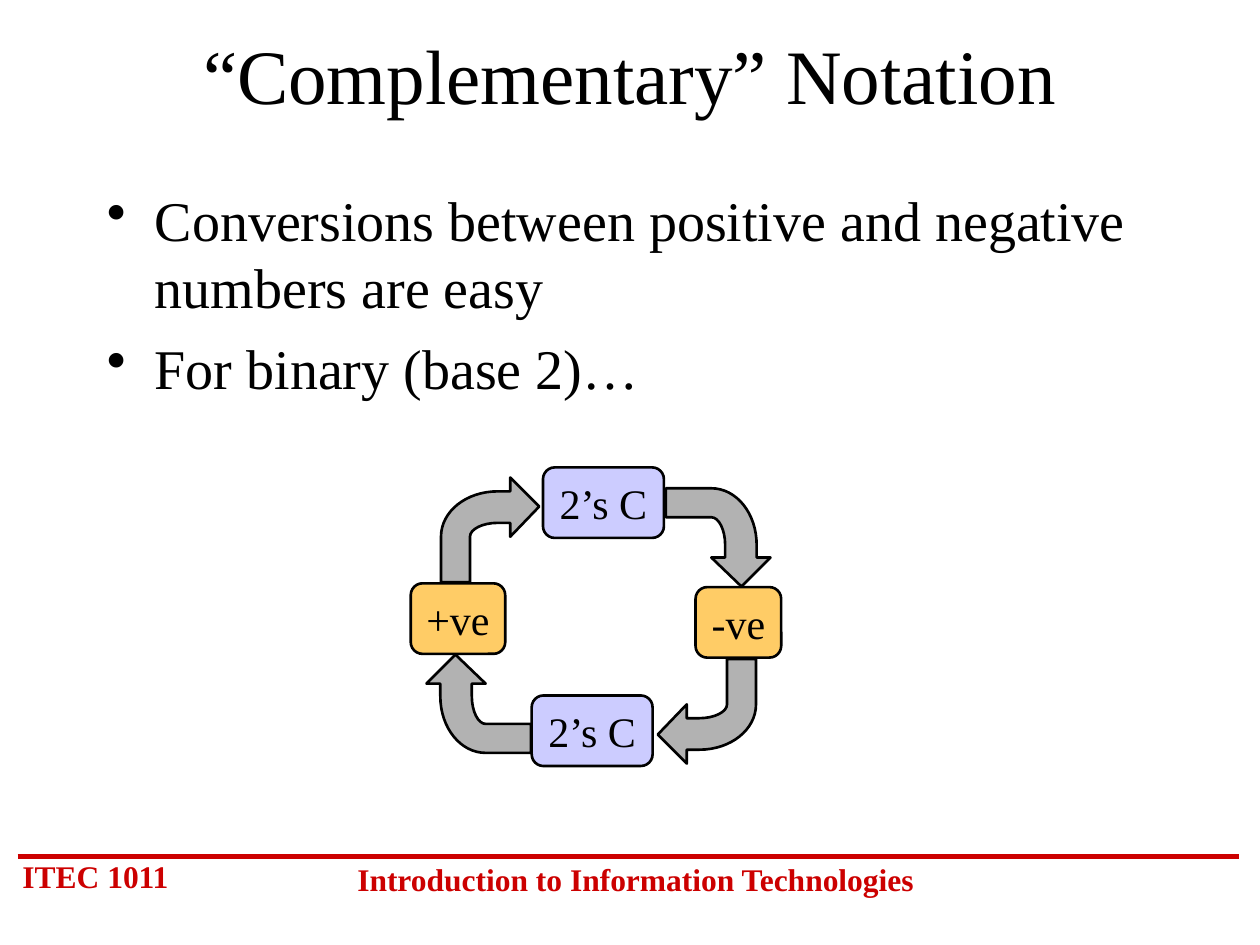
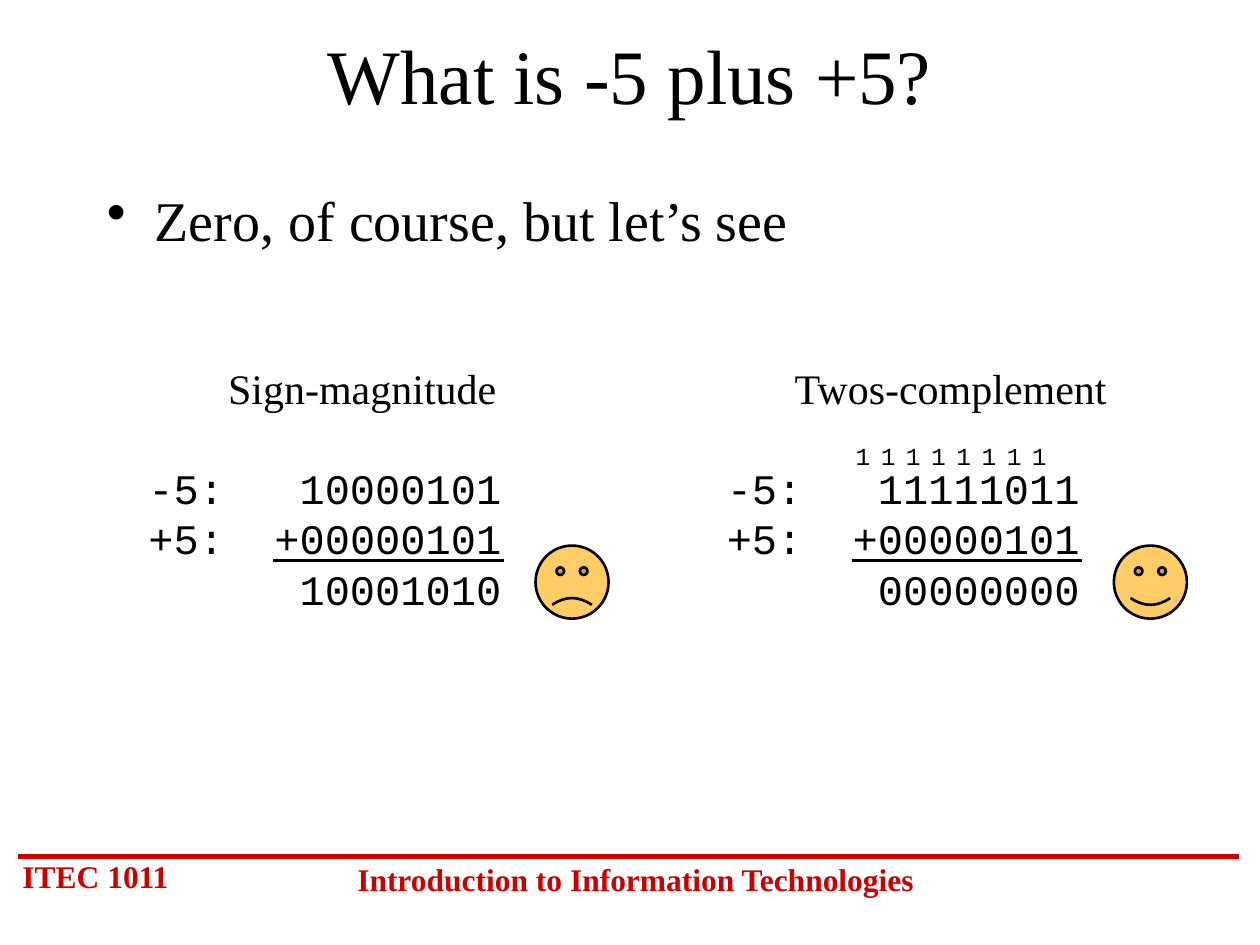
from lxml import etree
from pptx import Presentation
from pptx.dml.color import RGBColor
from pptx.enum.shapes import MSO_CONNECTOR, MSO_SHAPE
from pptx.enum.text import MSO_ANCHOR, PP_ALIGN
from pptx.oxml.ns import qn
from pptx.util import Inches, Pt

LEFT, CENTER = PP_ALIGN.LEFT, PP_ALIGN.CENTER
TOP, MIDDLE = MSO_ANCHOR.TOP, MSO_ANCHOR.MIDDLE
ROUND, SMILE = MSO_SHAPE.ROUNDED_RECTANGLE, MSO_SHAPE.SMILEY_FACE
STRAIGHT = MSO_CONNECTOR.STRAIGHT
SERIF, MONO = "Times New Roman", "Courier New"
COLORS = {"ink": "000000", "red": "CC0000", "gold": "FFCC66",
          "lilac": "CCCCFF", "gray": "B2B2B2"}

# Outline of a bent arrow; each curve takes three points after its start.
ARROW = [(0, 0.83), (0, 0.47), (0, 0.27), (0.2, 0.11), (0.45, 0.11),
         (0.55, 0.11), (0.55, 0), (0.78, 0.23), (0.55, 0.47), (0.55, 0.36),
         (0.45, 0.36), (0.33, 0.36), (0.23, 0.41), (0.23, 0.47), (0.23, 0.83)]
BENDS = (1, 10)


def color(name):
    return RGBColor.from_string(COLORS[name])


def add_bullet(para):
    props = para._p.get_or_add_pPr()
    props.set("marL", str(Inches(0.38)))
    props.set("indent", str(-Inches(0.38)))
    etree.SubElement(props, qn("a:buChar"), char="•")


def add_tab(para, pos):
    """Add a right-aligned tab stop, in inches."""
    tabs = etree.SubElement(para._p.get_or_add_pPr(), qn("a:tabLst"))
    etree.SubElement(tabs, qn("a:tab"), pos=str(Inches(pos)), algn="r")


def add_run(para, text, size, font, ink, bold):
    run = para.add_run()
    run.text = text
    run.font.size = Pt(size)
    run.font.name = font
    run.font.bold = bold
    run.font.color.rgb = color(ink)


def write(shape, *paras, size=24, font=SERIF, ink="ink", bold=False,
          align=LEFT, anchor=TOP, wrap=True, pad=True, bullet=False,
          tab=None, gap=0):
    """Fill a shape with paragraphs; a newline is a line break."""
    frame = shape.text_frame
    frame.word_wrap = wrap
    frame.vertical_anchor = anchor
    frame.margin_left = frame.margin_right = Inches(0.1 if pad else 0)
    frame.margin_top = frame.margin_bottom = Inches(0.05 if pad else 0)
    for i, text in enumerate(paras):
        para = frame.add_paragraph() if i else frame.paragraphs[0]
        if bullet:
            add_bullet(para)
        if tab:
            add_tab(para, tab)
        para.alignment = align
        para.space_before = Pt(gap if i else 0)
        for j, line in enumerate(text.split("\n")):
            if j:
                para.add_line_break()
            add_run(para, line, size, font, ink, bold)


def add_text(slide, box, *paras, **style):
    write(slide.shapes.add_textbox(*map(Inches, box)), *paras, **style)


def add_line(slide, left, right, y, ink="ink", width=1.5):
    line = slide.shapes.add_connector(
        STRAIGHT, Inches(left), Inches(y), Inches(right), Inches(y))
    line.line.color.rgb = color(ink)
    line.line.width = Pt(width)
    etree.SubElement(line._element.spPr, qn("a:effectLst"))


def paint(shape, fill):
    shape.shadow.inherit = False
    shape.fill.solid()
    shape.fill.fore_color.rgb = color(fill)
    shape.line.color.rgb = color("ink")
    shape.line.width = Pt(1.5)


def add_node(slide, box, text, fill):
    node = slide.shapes.add_shape(ROUND, *map(Inches, box))
    node.adjustments[0] = 0.167
    paint(node, fill)
    write(node, text, align=CENTER, anchor=MIDDLE, wrap=False)


def add_face(slide, left, top, mouth):
    size = Inches(0.58)
    face = slide.shapes.add_shape(SMILE, Inches(left), Inches(top), size, size)
    face.adjustments[0] = mouth
    paint(face, "gold")


def bend(shape, starts):
    """Turn three straight segments from each start into one curve."""
    lines = list(shape._element.iter(qn("a:lnTo")))
    for start in starts:
        first, *rest = lines[start:start + 3]
        curve = etree.Element(qn("a:cubicBezTo"))
        first.addprevious(curve)
        for line in (first, *rest):
            curve.append(line[0])
            line.getparent().remove(line)


def add_arrow(slide, left, top, turn):
    """Draw an arrow that bends from up to right, then turn it."""
    spots = [(Inches(left + x), Inches(top + y)) for x, y in ARROW]
    form = slide.shapes.build_freeform(*spots[0])
    form.add_line_segments(spots[1:], close=True)
    arrow = form.convert_to_shape()
    bend(arrow, BENDS)
    arrow.rotation = turn
    paint(arrow, "gray")


def add_slide(deck, title, *points):
    """Add a slide with title, bullets and the course footer."""
    slide = deck.slides.add_slide(deck.slide_layouts[5])
    add_line(slide, 0.14, 9.83, 6.8, ink="red", width=3)
    foot = {"size": 18, "ink": "red", "bold": True}
    add_text(slide, (0.08, 6.75, 1.5, 0.4), "ITEC 1011", **foot)
    add_text(slide, (2.67, 6.78, 4.75, 0.4),
             "Introduction to Information Technologies", align=CENTER, **foot)
    head = slide.shapes.title
    head.left, head.top = Inches(0.75), Inches(0.17)
    head.width, head.height = Inches(8.5), Inches(0.83)
    write(head, title, size=44, align=CENTER, anchor=MIDDLE)
    add_text(slide, (0.75, 1.42, 8.5, 4.5), *points, size=32, bullet=True,
             gap=8)
    return slide


def add_sum(slide, left, name, name_left, digits, total, mouth):
    """Show -5 plus +5 in one notation, with a face as verdict."""
    add_text(slide, (left, 3.62, 3.5, 1.3),
             f"-5:\t{digits}\n+5:\t+00000101\n\t{total}", font=MONO, tab=2.8)
    add_line(slide, left + 1.09, left + 2.92, 4.45)
    add_face(slide, left + 3.17, 4.33, mouth)
    add_text(slide, (name_left, 2.83, 2.75, 0.5), name, align=CENTER)


def add_carries(slide):
    for i in range(8):
        add_text(slide, (6.79 + 0.2 * i, 3.5, 0.11, 0.23), "1", size=14,
                 font=MONO, align=CENTER, wrap=False, pad=False)


def main():
    deck = Presentation()
    deck.slide_width, deck.slide_height = Inches(10), Inches(7.5)

    cycle = add_slide(
        deck, "“Complementary” Notation",
        "Conversions between positive and negative numbers are easy",
        "For binary (base 2)…")
    add_node(cycle, (3.26, 4.63, 0.75, 0.56), "+ve", "gold")
    add_node(cycle, (5.52, 4.66, 0.68, 0.56), "-ve", "gold")
    add_node(cycle, (4.31, 3.71, 0.96, 0.56), "2’s C", "lilac")
    add_node(cycle, (4.22, 5.52, 0.96, 0.56), "2’s C", "lilac")
    corners = [(3.5, 3.79), (5.31, 3.85), (5.22, 5.23), (3.41, 5.17)]
    for i, (left, top) in enumerate(corners):
        add_arrow(cycle, left, top, 90 * i)

    sums = add_slide(deck, "What is -5 plus +5?",
                     "Zero, of course, but let’s see")
    add_sum(sums, 1.08, "Sign-magnitude", 1.5, "10000101", "10001010", -0.047)
    add_sum(sums, 5.67, "Twos-complement", 6.17, "11111011", "00000000", 0.093)
    add_carries(sums)

    deck.save("out.pptx")


if __name__ == "__main__":
    main()
